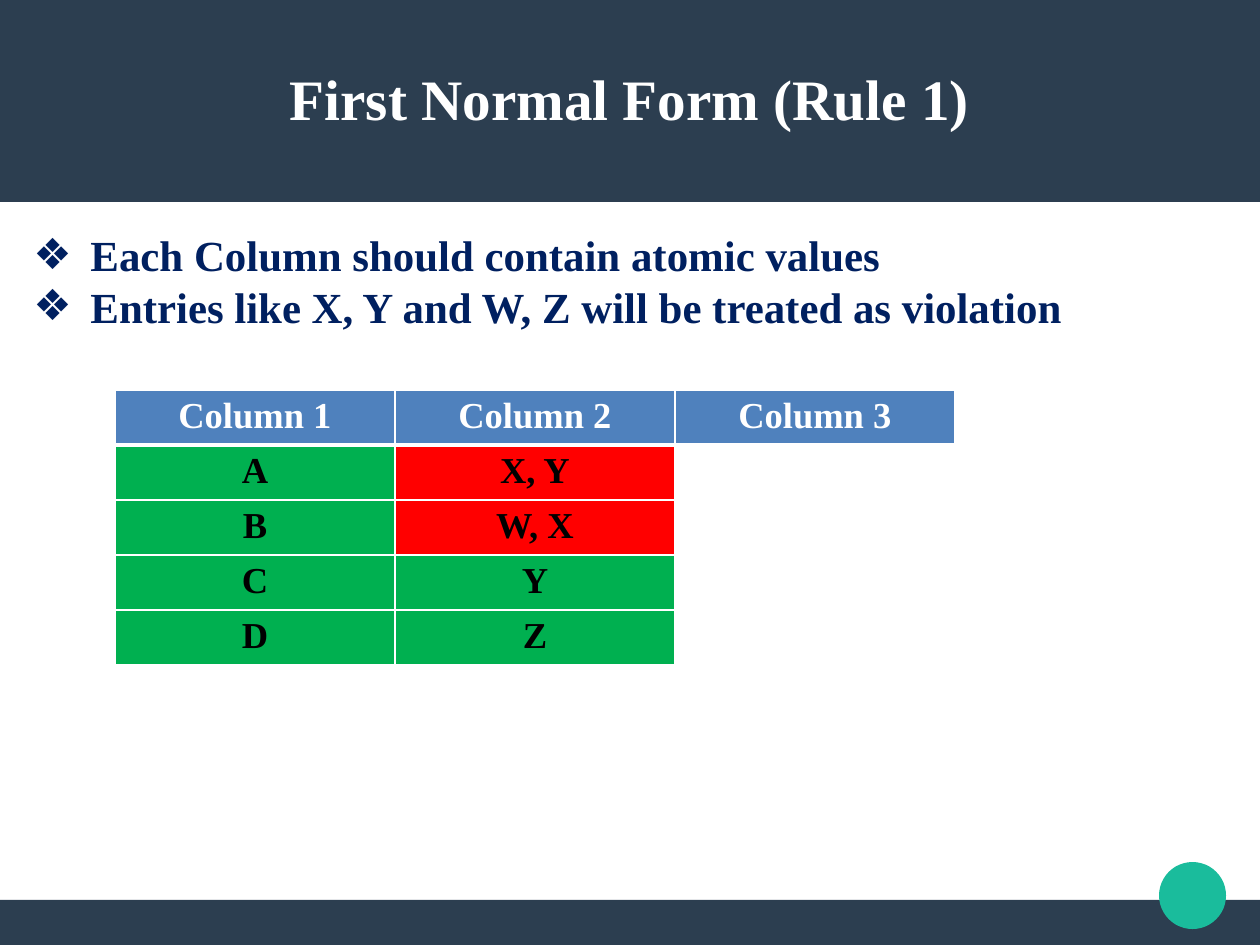
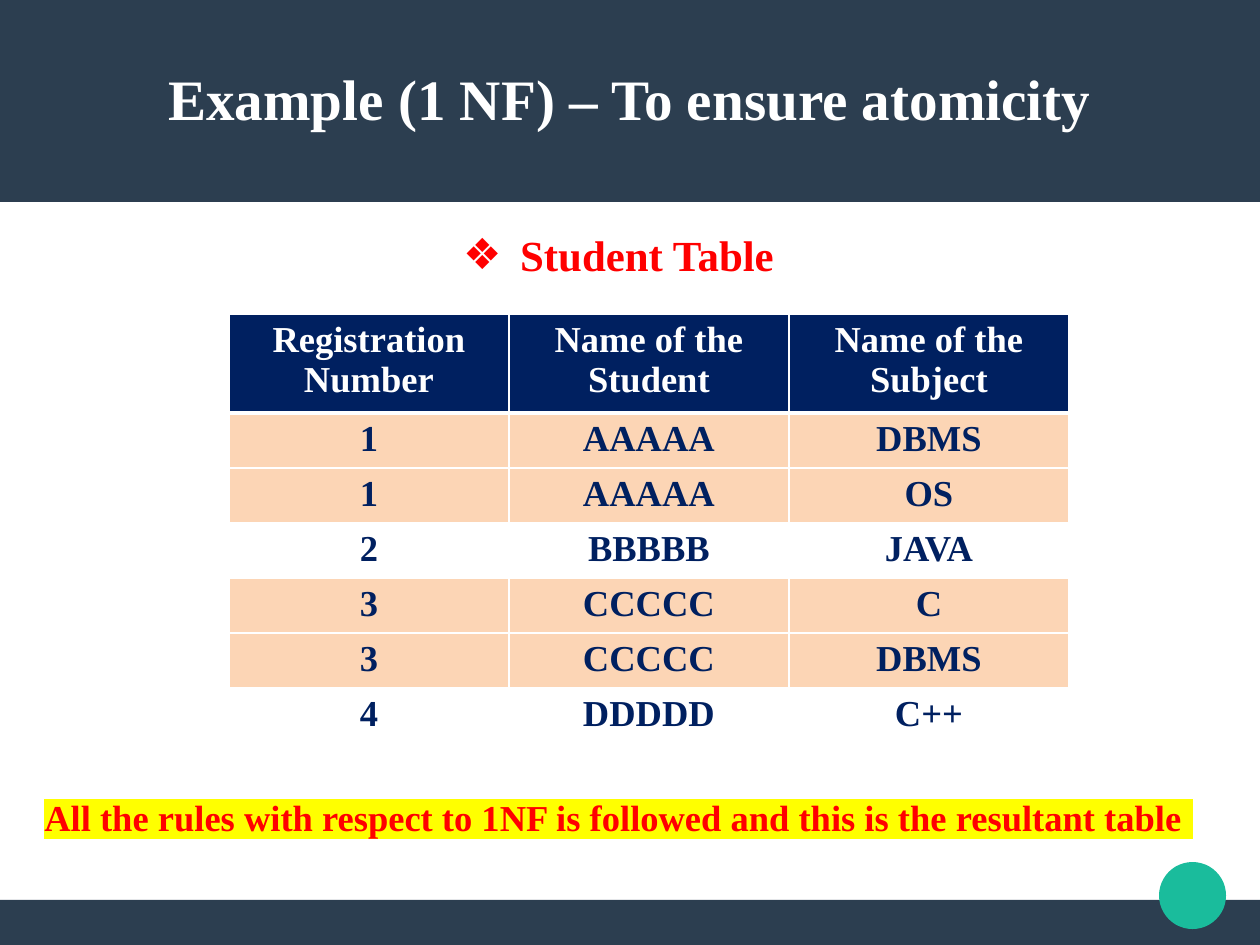
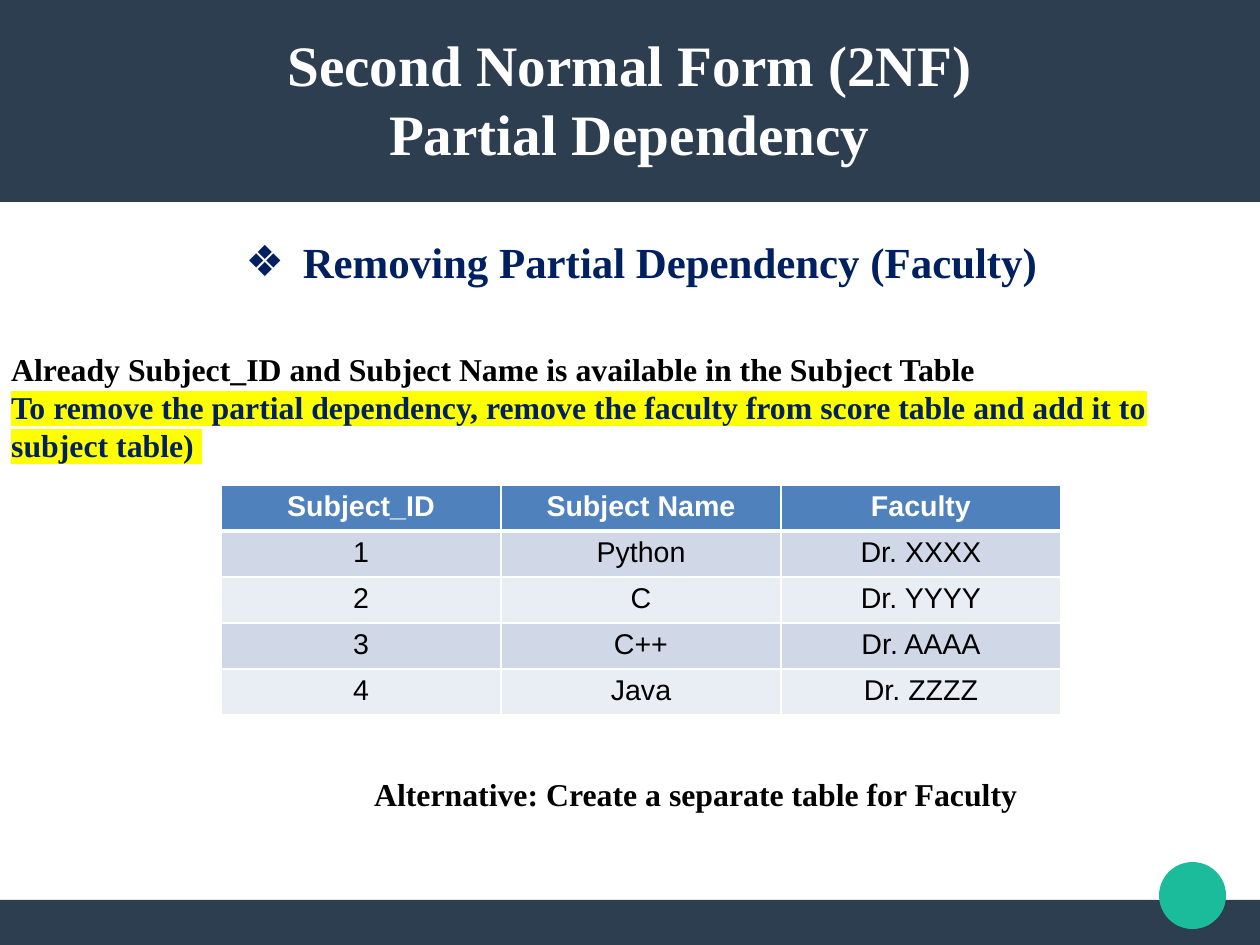
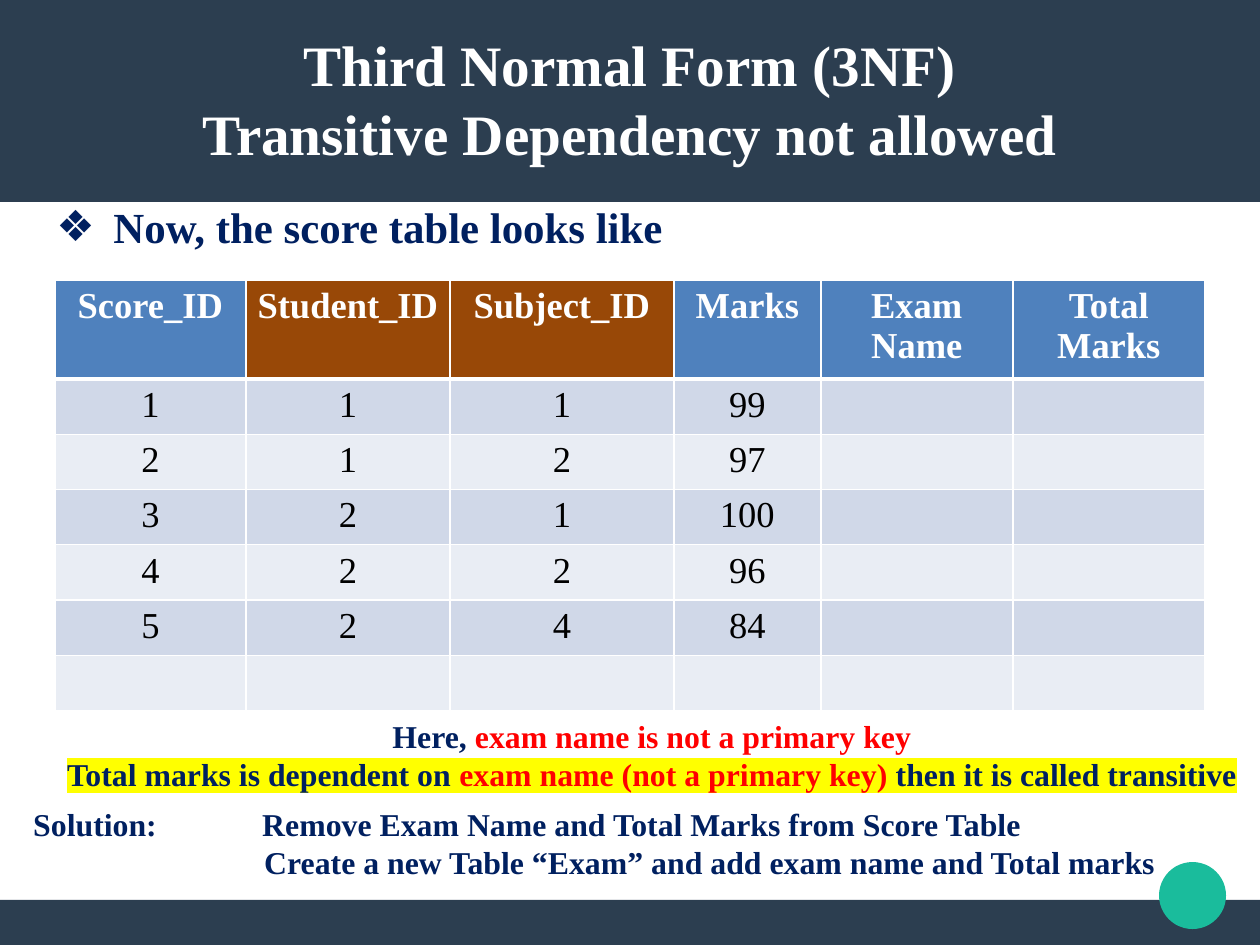
from lxml import etree
from pptx import Presentation
from pptx.dml.color import RGBColor
from pptx.enum.shapes import MSO_SHAPE
from pptx.enum.text import MSO_ANCHOR, MSO_AUTO_SIZE, PP_ALIGN
from pptx.oxml.ns import qn
from pptx.util import Pt

RECT, OVAL = MSO_SHAPE.RECTANGLE, MSO_SHAPE.OVAL
LEFT, MID, JUST = PP_ALIGN.LEFT, PP_ALIGN.CENTER, PP_ALIGN.JUSTIFY
CENTRE, TOP, FIXED = MSO_ANCHOR.MIDDLE, MSO_ANCHOR.TOP, MSO_AUTO_SIZE.NONE
SERIF, SANS = "Times New Roman", "Arial"
SLATE, TEAL, NAVY, BLUE = "2C3E50", "1ABC9C", "002060", "4F81BD"
WHITE, BLACK, RED, GREEN = "FFFFFF", "000000", "FF0000", "00B050"
PEACH, BROWN, YELLOW = "FCD5B5", "984807", "FFFF00"
BANDS = ("D0D8E8", "E9EDF4")


def px(n):
    return int(n * 8000)


def hue(code):
    return RGBColor.from_string(code)


class Deck:
    """Holds the shared style and the current slide."""

    def __init__(self):
        self.prs = Presentation()
        self.prs.slide_width, self.prs.slide_height = px(1260), px(945)
        self.base = self.prs.slide_layouts[1]
        self.slide = None
        for holder in list(self.base.placeholders):
            if holder.placeholder_format.idx >= 10:
                holder.element.getparent().remove(holder.element)
        self.place(self.base.placeholders[0], (45, 38, 1169, 120))

    def place(self, shape, at):
        shape.left, shape.top, shape.width, shape.height = map(px, at)

    def frame(self, color, kind, at):
        shape = self.slide.shapes.add_shape(kind, *map(px, at))
        shape.shadow.inherit = False
        shape.fill.solid()
        shape.fill.fore_color.rgb = hue(color)
        shape.line.fill.background()
        self.base.shapes.element.insert(2, shape.element)

    def page(self, title):
        first = self.slide is None
        self.slide = self.prs.slides.add_slide(self.base)
        if first:
            self.frame(TEAL, OVAL, (1159, 862, 67, 67))
            self.frame(SLATE, RECT, (0, 0, 1260, 202))
            self.frame(SLATE, RECT, (0, 900, 1260, 45))
        text = self.slide.shapes.title.text_frame
        text.text = title
        text.auto_size, text.vertical_anchor = FIXED, CENTRE
        text.margin_left = text.margin_right = 0
        text.margin_top = text.margin_bottom = 0
        for para in text.paragraphs:
            self.style(para, 36, WHITE, MID)

    def style(self, para, size, color, align, bold=True, face=SERIF):
        para.alignment, para.line_spacing = align, 1.0
        para.space_before = Pt(0)
        font = para.font
        font.name, font.size, font.bold = face, Pt(size), bold
        font.color.rgb = hue(color)

    def indent(self, para, left, first):
        props = para._p.get_or_add_pPr()
        props.set("marL", str(px(left)))
        props.set("indent", str(px(first)))
        return props

    def points(self, at, lines, color=NAVY, align=JUST):
        body = self.slide.placeholders[1]
        self.place(body, at)
        text = body.text_frame
        text.text = "\n".join(lines)
        text.auto_size, text.vertical_anchor = FIXED, TOP
        for para in text.paragraphs:
            self.style(para, 27, color, align)
            props = self.indent(para, 57, -57)
            bullet = etree.Element(qn("a:buChar"), char="❖")
            props.insert_element_before(bullet, "a:tabLst", "a:defRPr", "a:extLst")

    def note(self, at, lines, size=20, align=MID):
        text = self.slide.shapes.add_textbox(*map(px, at)).text_frame
        text.word_wrap = True
        for i, (mark, *runs) in enumerate(lines):
            para = text.add_paragraph() if i else text.paragraphs[0]
            main = runs[0][1]
            self.style(para, size, main, align)
            for words, color in runs:
                run = para.add_run()
                run.text = words
                if color != main:
                    run.font.color.rgb = hue(color)
                if mark:
                    props = run._r.get_or_add_rPr()
                    light = etree.SubElement(props, qn("a:highlight"))
                    etree.SubElement(light, qn("a:srgbClr"), val=mark)
        return text

    def edges(self, cell, head):
        props = cell._tc.get_or_add_tcPr()
        for i, side in enumerate("LRTB"):
            wide = 3 if head and side == "B" else 1
            line = etree.Element(qn("a:ln" + side), w=str(Pt(wide)))
            fill = etree.SubElement(line, qn("a:solidFill"))
            etree.SubElement(fill, qn("a:srgbClr"), val=WHITE)
            props.insert(i, line)

    def table(self, spot, cols, highs, rows, fills, ink=BLACK, bold=False,
              size=23, face=SERIF):
        at = (*spot, sum(cols), sum(highs))
        grid = self.slide.shapes.add_table(len(rows), len(cols), *map(px, at)).table
        grid.horz_banding = False
        for col, wide in zip(grid.columns, cols):
            col.width = px(wide)
        for r, (words, tints) in enumerate(zip(rows, fills)):
            grid.rows[r].height = px(highs[r])
            for c, (word, tint) in enumerate(zip(words, tints)):
                cell = grid.cell(r, c)
                cell.margin_left = cell.margin_right = px(10)
                if tint:
                    cell.fill.solid()
                    cell.fill.fore_color.rgb = hue(tint)
                else:
                    cell.fill.background()
                self.edges(cell, r == 0)
                cell.text = word
                self.style(cell.text_frame.paragraphs[0], size,
                           ink if r else WHITE, MID, bold or r == 0, face)


def main():
    deck = Deck()
    thirds = [280] * 3

    deck.page("First Normal Form (Rule 1)")
    deck.points((22, 223, 1193, 167), [
        "Each Column should contain atomic values",
        "Entries like X, Y and W, Z will be treated as violation"])
    good, bad = [GREEN, GREEN, None], [GREEN, RED, None]
    deck.table((115, 390), thirds, [55] * 5, [
        ("Column 1", "Column 2", "Column 3"),
        ("A", "X, Y", ""), ("B", "W, X", ""), ("C", "Y", ""), ("D", "Z", "")],
        [[BLUE] * 3, bad, bad, good, good], bold=True)

    deck.page("Example (1 NF) – To ensure atomicity")
    deck.points((22, 223, 1193, 64), ["Student Table"], RED, MID)
    tints = [NAVY, PEACH, PEACH, None, PEACH, PEACH, None]
    deck.table((229, 314), thirds, [99] + [55] * 6, [
        ("Registration Number", "Name of the Student", "Name of the Subject"),
        ("1", "AAAAA", "DBMS"), ("1", "AAAAA", "OS"), ("2", "BBBBB", "JAVA"),
        ("3", "CCCCC", "C"), ("3", "CCCCC", "DBMS"), ("4", "DDDDD", "C++")],
        [[tint] * 3 for tint in tints], NAVY, True)
    deck.note((22, 789, 1193, 56), [(YELLOW, (
        "All the rules with respect to 1NF is followed and this is the "
        "resultant table ", RED))], 23)

    deck.page("Second Normal Form (2NF)\nPartial Dependency")
    deck.points((45, 230, 1193, 64), ["Removing Partial Dependency (Faculty)"],
                align=MID)
    deck.note((0, 344, 1260, 127), [
        (None, ("Already Subject_ID and Subject Name is available in the "
                "Subject Table", BLACK)),
        (YELLOW, ("To remove the partial dependency, remove the faculty from "
                  "score table and add it to subject table) ", NAVY))],
        align=LEFT)
    deck.table((221, 485), thirds, [46] * 5, [
        ("Subject_ID", "Subject Name", "Faculty"),
        ("1", "Python", "Dr. XXXX"), ("2", "C", "Dr. YYYY"),
        ("3", "C++", "Dr. AAAA"), ("4", "Java", "Dr. ZZZZ")],
        [[tint] * 3 for tint in (BLUE, *BANDS * 2)], size=18, face=SANS)
    deck.note((66, 769, 1260, 50), [
        (None, ("Alternative: Create a separate table for Faculty", BLACK))])

    deck.page("Third Normal Form (3NF)\nTransitive Dependency not allowed")
    deck.points((45, 195, 1193, 64), ["Now, the score table looks like"])
    deck.note((22, 711, 1260, 88), [
        (None, ("Here, ", NAVY), ("exam name is not a primary key", RED)),
        (YELLOW, ("Total marks is dependent on ", NAVY),
         ("exam name (not a primary key) ", RED),
         ("then it is called transitive", NAVY))])
    marks = [("1", "1", "1", "99"), ("2", "1", "2", "97"), ("3", "2", "1", "100"),
             ("4", "2", "2", "96"), ("5", "2", "4", "84"), ("",) * 4]
    deck.table((55, 280), [191, 204, 224, 147, 192, 192], [99] + [55] * 6,
               [("Score_ID", "Student_ID", "Subject_ID", "Marks", "Exam Name",
                 "Total Marks")] + [(*row, "", "") for row in marks],
               [[BLUE, BROWN, BROWN, BLUE, BLUE, BLUE]]
               + [[tint] * 6 for tint in BANDS * 3])
    fix = deck.note((22, 799, 1260, 88), [
        (None, ("Solution:\tRemove Exam Name and Total Marks from Score Table",
                NAVY)),
        (None, ("Create a new Table “Exam” and add exam name and Total marks",
                NAVY))], align=LEFT)
    for para, first in zip(fix.paragraphs, (-229, 2)):
        deck.indent(para, 229, first)

    deck.prs.save("out.pptx")


if __name__ == "__main__":
    main()
